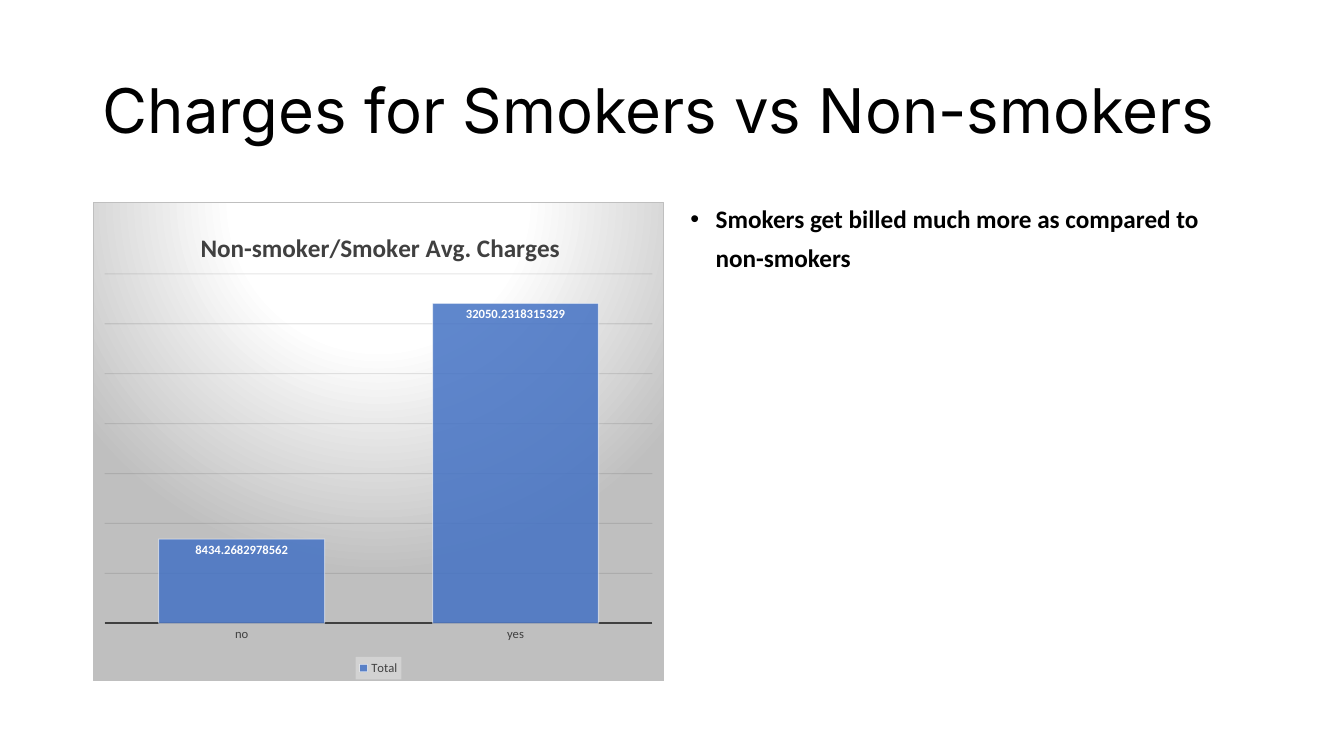
import pptx
import pptx.chart.data
import pptx.dml.color
import pptx.enum.chart
import pptx.enum.text
import pptx.oxml
import pptx.util

Inches = pptx.util.Inches
Pt = pptx.util.Pt
enum = pptx.enum.chart
SPACE = ('xmlns:c="http://schemas.openxmlformats.org/drawingml/2006/chart" '
         'xmlns:a="http://schemas.openxmlformats.org/drawingml/2006/main"')
HUES = {"ink": "000000", "text": "404040", "bar": "4472C4", "white": "FFFFFF",
        "grid": "0D0D0D", "edge": "BFBFBF", "key": "F2F2F2"}


def make(xml):
    head, tail = xml.split(">", 1)
    slash = "/" if head.endswith("/") else ""
    return pptx.oxml.parse_xml(f"{head.rstrip('/')} {SPACE}{slash}>{tail}")


def place(node, **spots):
    for old in node.xpath("./c:layout"):
        node.remove(old)
    inner = '<c:layoutTarget val="inner"/>' if "w" in spots else ""
    modes = "".join(f'<c:{side}Mode val="edge"/>' for side in "xy")
    sizes = "".join(f'<c:{side} val="{val}"/>' for side, val in spots.items())
    layout = make(f"<c:layout><c:manualLayout>{inner}{modes}{sizes}"
                  "</c:manualLayout></c:layout>")
    lid = node.xpath("./c:overlay")
    if lid:
        lid[0].addprevious(layout)
    else:
        node.insert(0, layout)


class Deck:
    def __init__(self):
        self.show = pptx.Presentation()
        self.show.slide_width, self.show.slide_height = Inches(13.33), Inches(7.5)
        self.slide = self.show.slides.add_slide(self.show.slide_layouts[6])

    def hue(self, name):
        return pptx.dml.color.RGBColor.from_string(HUES[name])

    def style(self, font, size, name="text", face="Calibri", bold=False):
        for key, val in {"size": Pt(size), "name": face, "bold": bold}.items():
            setattr(font, key, val)
        font.color.rgb = self.hue(name)

    def paint(self, fill, name, alpha=100):
        fill.solid()
        fill.fore_color.rgb = self.hue(name)
        return f'<a:alpha val="{alpha * 1000}"/>'

    def line(self, line, name, width, alpha=100):
        line.width = Pt(width)
        clear = self.paint(line.fill, name, alpha)
        return clear

    def fade(self, node, clear):
        for shade in node.xpath(".//a:srgbClr"):
            shade.append(make(clear))

    def text(self, box, runs, form, anchor="TOP", bullet=False):
        frame = self.slide.shapes.add_textbox(*map(Inches, box)).text_frame
        frame.word_wrap = True
        frame.vertical_anchor = getattr(pptx.enum.text.MSO_ANCHOR, anchor)
        part = frame.paragraphs[0]
        for key, val in form.items():
            setattr(part, key, val)
        if bullet:
            props = part._p.get_or_add_pPr()
            props.set("marL", str(Inches(0.25)))
            props.set("indent", str(-Inches(0.25)))
            props.append(make('<a:buFont typeface="Arial"/>'))
            props.append(make('<a:buChar char="•"/>'))
        for words, look in runs:
            run = part.add_run()
            run.text = words
            self.style(run.font, **look)

    def chart(self, box, title, cats, name, vals):
        data = pptx.chart.data.CategoryChartData()
        data.categories = cats
        data.add_series(name, vals)
        chart = self.slide.shapes.add_chart(
            enum.XL_CHART_TYPE.COLUMN_CLUSTERED, *map(Inches, box), data).chart
        self.style(chart.font, 10, "ink")
        root = chart.element
        stops = "".join(f'<a:gs pos="{pos}000"><a:srgbClr val="{HUES[tone]}"/></a:gs>'
                        for pos, tone in ((0, "white"), (39, "white"), (100, "edge")))
        root.xpath("./c:chart")[0].addnext(make(
            f'<c:spPr><a:gradFill><a:gsLst>{stops}</a:gsLst><a:path path="circle">'
            '<a:fillToRect l="50000" t="-80000" r="50000" b="180000"/></a:path>'
            f'</a:gradFill><a:ln w="{Pt(0.75)}"><a:solidFill>'
            f'<a:srgbClr val="{HUES["edge"]}"/></a:solidFill></a:ln></c:spPr>'))
        chart.has_title = True
        frame = chart.chart_title.text_frame
        frame.text = title
        self.style(frame.paragraphs[0].runs[0].font, 18, bold=True)
        place(root.xpath(".//c:title")[0], x=0.18, y=0.05)
        place(root.xpath(".//c:plotArea")[0], x=0.02, y=0.15, w=0.96, h=0.73)
        self.bars(chart)
        self.axes(chart)
        self.legend(chart)

    def bars(self, chart):
        plot = chart.plots[0]
        plot.gap_width = 65
        plot.vary_by_categories = False
        bars = plot.series[0]
        form = bars.format
        clear = self.paint(form.fill, "bar", 85)
        self.fade(bars._element.xpath("./c:spPr")[0], clear)
        clear = self.line(form.line, "white", 0.75, 50)
        self.fade(bars._element.xpath("./c:spPr/a:ln")[0], clear)
        tags = bars.data_labels
        for key, val in {"show_value": True, "number_format": "General",
                         "number_format_is_linked": False,
                         "position": enum.XL_LABEL_POSITION.INSIDE_END}.items():
            setattr(tags, key, val)
        self.style(tags.font, 9, "white", bold=True)

    def axes(self, chart):
        base, scale = chart.category_axis, chart.value_axis
        base.major_tick_mark = enum.XL_TICK_MARK.NONE
        self.style(base.tick_labels.font, 9)
        self.line(base.format.line, "text", 1.5)
        for key, val in {"minimum_scale": 0, "maximum_scale": 35000,
                         "major_unit": 5000, "visible": False}.items():
            setattr(scale, key, val)
        clear = self.line(scale.major_gridlines.format.line, "grid", 0.75, 10)
        self.fade(chart.element.xpath(".//c:majorGridlines")[0], clear)

    def legend(self, chart):
        chart.has_legend = True
        key = chart.legend
        key.position = enum.XL_LEGEND_POSITION.BOTTOM
        key.include_in_layout = False
        self.style(key.font, 9)
        node = chart.element.xpath(".//c:legend")[0]
        place(node, x=0.46, y=0.95)
        node.xpath("./c:overlay")[0].addnext(make(
            f'<c:spPr><a:solidFill><a:srgbClr val="{HUES["key"]}">'
            '<a:alpha val="39000"/></a:srgbClr></a:solidFill></c:spPr>'))


def main():
    deck = Deck()
    deck.text((0.92, 0.4, 11.5, 1.45),
              [("Charges for Smokers vs Non-smokers",
                {"size": 44, "name": "ink", "face": "Inter"})],
              {"line_spacing": 0.9}, "MIDDLE")
    deck.chart((0.92, 2, 5.67, 4.76), "Non-smoker/Smoker Avg. Charges",
               ("no", "yes"), "Total", (8434.2682978562, 32050.2318315329))
    deck.text((6.75, 2, 5.67, 4.76),
              [("Smokers get billed much more as compared to non-smokers",
                {"size": 18, "name": "ink", "bold": True}),
               (" ", {"size": 28, "name": "ink"})],
              {"line_spacing": 0.9, "space_before": Pt(10)}, bullet=True)
    deck.show.save("out.pptx")


if __name__ == "__main__":
    main()
